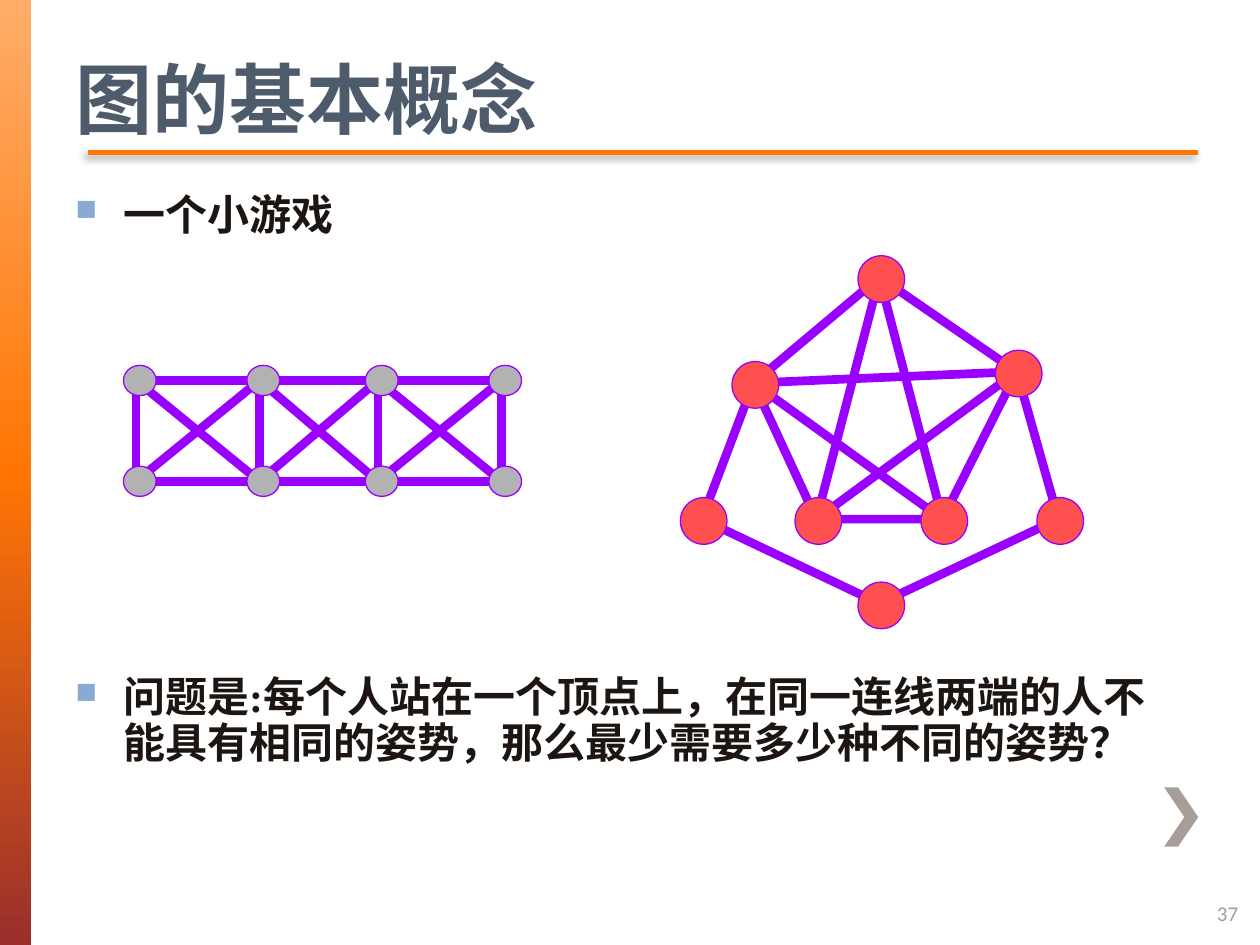
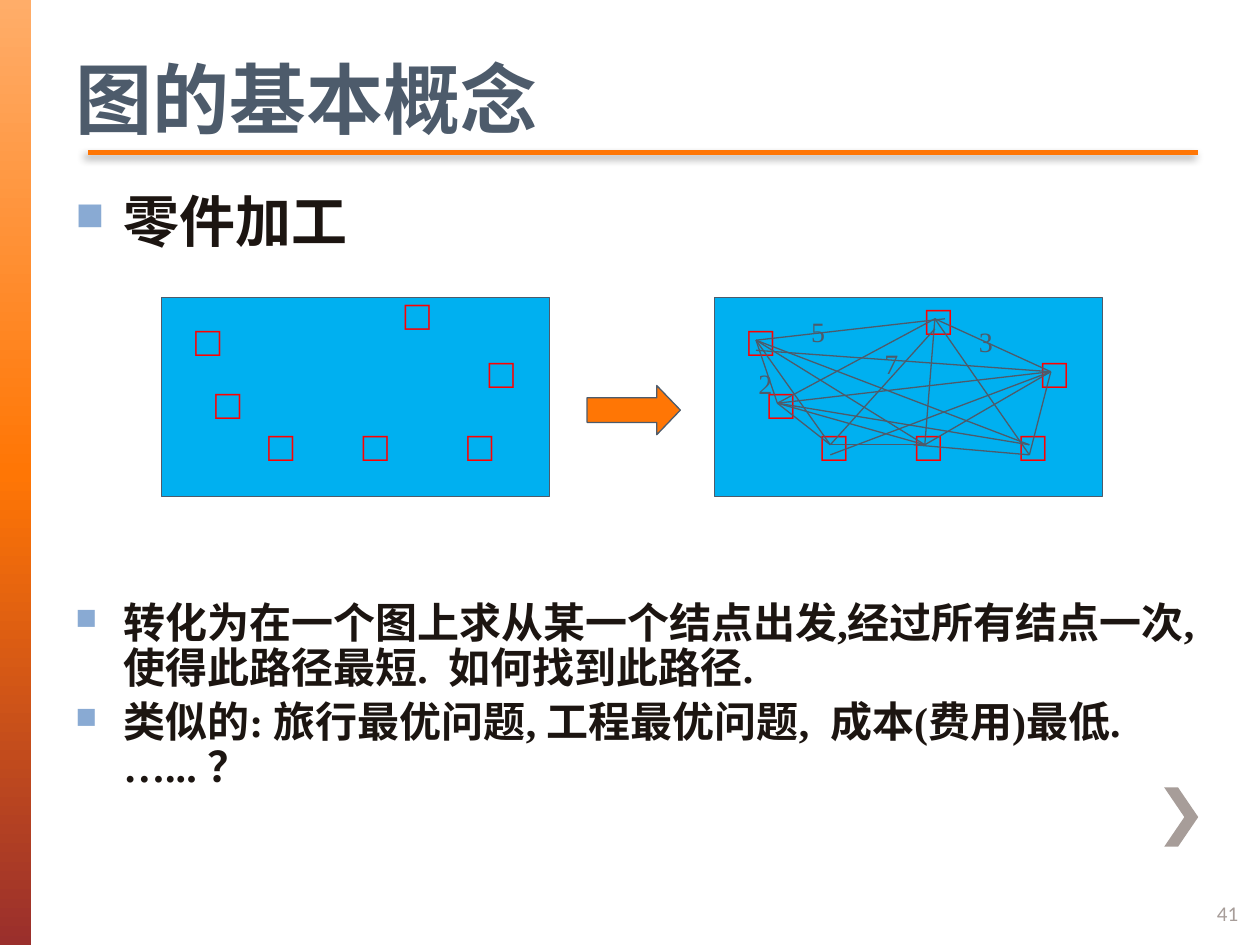
from copy import deepcopy

from lxml import etree
from pptx import Presentation
from pptx.dml.color import RGBColor
from pptx.enum.shapes import MSO_CONNECTOR, MSO_SHAPE
from pptx.enum.text import MSO_ANCHOR, MSO_AUTO_SIZE
from pptx.oxml.ns import qn
from pptx.util import Inches, Pt

STRAIGHT = MSO_CONNECTOR.STRAIGHT
RECT, OVAL, ARROW = MSO_SHAPE.RECTANGLE, MSO_SHAPE.OVAL, MSO_SHAPE.RIGHT_ARROW
TOP, MIDDLE = MSO_ANCHOR.TOP, MSO_ANCHOR.MIDDLE
FIT = MSO_AUTO_SIZE.SHAPE_TO_FIT_TEXT
ORANGE, SLATE, GREY, INK = "FF7605", "4D5B6B", "A79D99", "1C1511"
PURPLE, CYAN, RED, BULLET = "9900FF", "00B0F0", "FF0000", "89AAD3"
SERIF, SANS = "Times New Roman", "Calibri"
color = RGBColor.from_string


def style(sp, fill=None, line=None, width=0.75):
    """Set fill and line, and replace the theme shadow by an empty effect list."""
    if hasattr(sp, "fill"):
        if fill:
            sp.fill.solid()
            sp.fill.fore_color.rgb = color(fill)
        else:
            sp.fill.background()
    if line:
        sp.line.color.rgb = color(line)
        sp.line.width = Pt(width)
    else:
        sp.line.fill.background()
    return etree.SubElement(sp._element.spPr, qn("a:effectLst"))


def add_text(s, box, lines, size, hue, font=SERIF, bold=False, bullet=False,
             anchor=TOP, wrap=True):
    sp = s.shapes.add_textbox(*map(Inches, box))
    tf = sp.text_frame
    tf.word_wrap, tf.vertical_anchor = wrap, anchor
    for i, line in enumerate(lines):
        p = tf.add_paragraph() if i else tf.paragraphs[0]
        p.text = line
        if bullet:
            pPr = p._p.get_or_add_pPr()
            pPr.set("marL", str(Inches(0.38)))
            pPr.set("indent", str(-Inches(0.38)))
            clr = etree.SubElement(pPr, qn("a:buClr"))
            etree.SubElement(clr, qn("a:srgbClr"), val=BULLET)
            etree.SubElement(pPr, qn("a:buSzPct"), val="70000")
            etree.SubElement(pPr, qn("a:buChar"), char="■")
            p.line_spacing = 0.9
            if i:
                p.space_before = Pt(size * 0.2)
        f = p.runs[0].font
        f.name, f.size, f.bold, f.color.rgb = font, Pt(size), bold, color(hue)
        latin = f._element.find(qn("a:latin"))
        latin.addnext(etree.Element(qn("a:ea"), typeface=SANS))
    return sp


prs = Presentation()
prs.slide_width, prs.slide_height = Inches(10), Inches(7.5)
slides = []

# Shared frame: side band, chevron, title with rule, slide number
for number in ("37", "41"):
    s = prs.slides.add_slide(prs.slide_layouts[6])
    slides.append(s)

    band = s.shapes.add_shape(RECT, 0, 0, Inches(0.25), prs.slide_height)
    style(band)
    band.fill.gradient()
    band.fill.gradient_angle = 270
    stops = band._element.spPr.find(".//" + qn("a:gsLst"))
    stops.append(deepcopy(stops[0]))
    for stop, hue, pos in zip(band.fill.gradient_stops,
                              ("FFAD69", ORANGE, "9A2F2C"), (0, 0.5, 1)):
        stop.color.rgb, stop.position = color(hue), pos

    x, y, w, h = 9.24, 6.25, 0.27, 0.47
    outline = [(x, y), (x + 0.16, y + h / 2), (x, y + h),
               (x + 0.11, y + h), (x + w, y + h / 2)]
    chevron = s.shapes.build_freeform(Inches(x + 0.11), Inches(y))
    chevron.add_line_segments([(Inches(a), Inches(b)) for a, b in outline])
    style(chevron.convert_to_shape(), GREY)

    rule = s.shapes.add_connector(STRAIGHT, *map(Inches, (0.7, 1.21, 9.51, 1.21)))
    effects = style(rule, line=ORANGE, width=2.5)
    shadow = etree.SubElement(effects, qn("a:outerShdw"), blurRad=str(Pt(5)),
                              dist=str(Pt(3)), dir="8100000")
    black = etree.SubElement(shadow, qn("a:srgbClr"), val="000000")
    etree.SubElement(black, qn("a:alpha"), val="45000")

    add_text(s, (0.5, 0.36, 9, 0.79), ["图的基本概念"], 44, SLATE, SANS, True)
    add_text(s, (9.56, 7.05, 0.42, 0.4), [number], 12, GREY, SANS, anchor=MIDDLE)

# Slide 1: two graphs for the posture game
s = slides[0]
add_text(s, (0.5, 1.49, 9, 0.5), ["一个小游戏"], 24, INK, bold=True, bullet=True)
add_text(s, (0.5, 5.32, 9, 0.9),
         ["问题是:每个人站在一个顶点上，在同一连线两端的人不能具有相同的姿势，"
          "那么最少需要多少种不同的姿势？"], 24, INK, bold=True, bullet=True)

cols, (upper, lower) = (1.08, 2.06, 3, 3.98), (3.02, 3.82)
ladder = [(x, upper, x, lower) for x in cols]
for x1, x2 in zip(cols, cols[1:]):
    ladder += [(x1, y1, x2, y2) for y1 in (upper, lower) for y2 in (upper, lower)]

apex, west, east, base = (6.98, 2.2), (5.98, 3.04), (8.07, 2.95), (6.98, 4.79)
feet = [(x, 4.12) for x in (5.57, 6.48, 7.48, 8.4)]
trail = [feet[0], west, feet[1], apex, feet[2], west, east, feet[1], feet[2],
         east, apex, west]
path = s.shapes.build_freeform(*map(Inches, trail[0]))
path.add_line_segments([(Inches(x), Inches(y)) for x, y in trail[1:]], close=False)
style(path.convert_to_shape(), line=PURPLE, width=5)

for ends in ladder + [feet[3] + east, base + feet[0], feet[3] + base]:
    edge = s.shapes.add_connector(STRAIGHT, *map(Inches, ends))
    style(edge, line=PURPLE, width=5)

nodes = [(x - 0.1, y - 0.12, 0.26, 0.24, "B2B2B2")
         for x in cols for y in (upper, lower)]
nodes += [(x - 0.17, y - 0.17, 0.37, 0.37, "FF5050")
          for x, y in [apex, west, east, base] + feet]
for *box, fill in nodes:
    style(s.shapes.add_shape(OVAL, *map(Inches, box)), fill, PURPLE)

# Slide 2: drilling order turned into a shortest path
s = slides[1]
add_text(s, (0.5, 1.49, 9.32, 0.6), ["零件加工"], 32, INK, bold=True, bullet=True)
add_text(s, (0.5, 4.73, 9.32, 1.7),
         ["转化为在一个图上求从某一个结点出发,经过所有结点一次, 使得此路径最短.  如何找到此路径.",
          "类似的: 旅行最优问题, 工程最优问题,  成本(费用)最低.   …... ？"],
         24, INK, bold=True, bullet=True)

# Hole places are measured from the panel's corner
holes = [(0.17, 0.09), (0.33, 0.59), (0.75, 0.92), (1.5, 0.92), (2.33, 0.92),
         (2.5, 0.34)]
top = 2.36
for left, top_hole, turn in ((1.28, (1.83, -0.06), 270), (5.67, (1.58, -0.08), 0)):
    panel = s.shapes.add_shape(RECT, *map(Inches, (left, top, 3.08, 1.58)))
    style(panel, CYAN, SLATE)
    for dx, dy in holes + [top_hole]:
        hole = add_text(s, (left + dx, top + dy, 0.34, 0.5), ["□"], 24, RED,
                        bold=True, wrap=False)
        hole.text_frame.auto_size = FIT
    hole.rotation = turn

# Lower-case ends (and T) lie just beside the hole of the same letter
ends = {"A": (6, 2.7), "a": (6, 2.78), "B": (7.42, 2.53), "b": (7.42, 2.61),
        "T": (7.5, 2.53), "C": (8.34, 2.95), "D": (8.17, 3.61), "d": (8.17, 3.53),
        "E": (7.34, 3.53), "e": (7.25, 3.53), "F": (6.59, 3.53), "f": (6.59, 3.61),
        "G": (6.17, 3.2)}
routes = "AT BC BE BD AG AF AE eD aC GB GF GE FE Fb GC EC CD Ad Gd fC"
for start, end in routes.split():
    route = s.shapes.add_connector(STRAIGHT, *map(Inches, ends[start] + ends[end]))
    style(route, line=SLATE)

for cost, x, y in (("5", 6.34, 2.45), ("3", 7.67, 2.53), ("7", 6.92, 2.7),
                   ("2", 5.92, 2.86)):
    add_text(s, (x, y, 0.33, 0.37), [cost], 16, SLATE)

arrow = s.shapes.add_shape(ARROW, *map(Inches, (4.66, 3.06, 0.74, 0.39)))
arrow.adjustments[0], arrow.adjustments[1] = 0.5, 0.48
style(arrow, ORANGE, SLATE)

prs.save("out.pptx")
